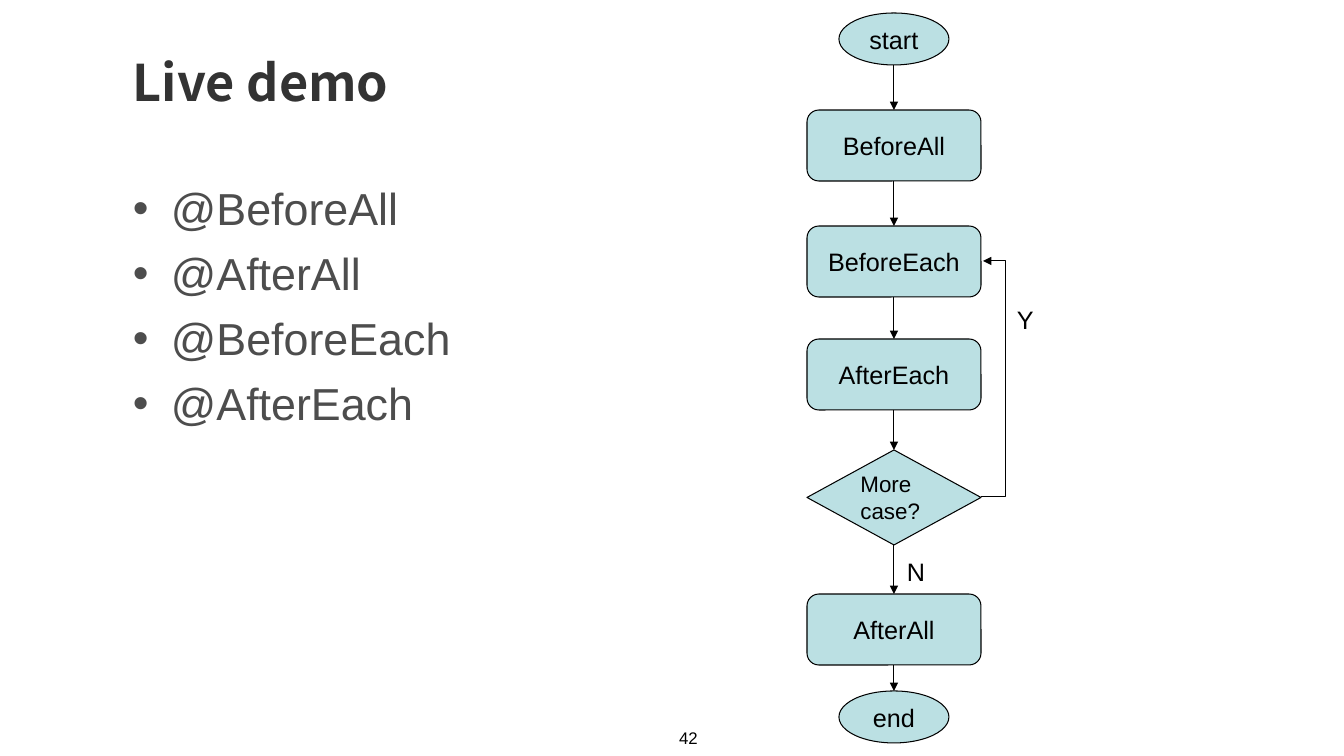
import pptx
import pptx.dml.color
import pptx.enum.shapes
import pptx.enum.text
import pptx.oxml
import pptx.oxml.ns
import pptx.util

SHAPES = pptx.enum.shapes.MSO_SHAPE
LINES = pptx.enum.shapes.MSO_CONNECTOR
ALIGN = pptx.enum.text.PP_ALIGN
ANCHOR = pptx.enum.text.MSO_ANCHOR
NS = pptx.oxml.ns.nsdecls("a")
TOP, BOTTOM = 0, 2


def px(length):
    return pptx.util.Emu(round(length * 914400 / 100.8))


def color(value):
    return pptx.dml.color.RGBColor.from_string(value)


def add_xml(parent, xml):
    parent.append(pptx.oxml.parse_xml(xml))


class FlowSlide:
    black = "000000"
    node_fill = "BBE0E3"

    def __init__(self, deck):
        self.slide = deck.slides.add_slide(deck.slide_layouts[6])

    def fill_text(self, frame, lines, size, hue, align, anchor, font="Arial", bold=False, before=0):
        frame.word_wrap = True
        frame.vertical_anchor = anchor
        font_format = {"name": font, "size": pptx.util.Pt(size), "bold": bold}
        for index, line in enumerate(lines):
            paragraph = frame.add_paragraph() if index else frame.paragraphs[0]
            paragraph.alignment = align
            paragraph.space_before = pptx.util.Pt(before)
            run = paragraph.add_run()
            run.text = line
            for key, value in font_format.items():
                setattr(run.font, key, value)
            run.font.color.rgb = color(hue)
            if font != "Arial":
                add_xml(run._r.get_or_add_rPr(), f'<a:ea {NS} typeface="{font}"/>')

    def text(self, box, lines, size=18, hue=black, align=ALIGN.LEFT, anchor=ANCHOR.TOP, **style):
        frame = self.slide.shapes.add_textbox(*map(px, box)).text_frame
        self.fill_text(frame, lines, size, hue, align, anchor, **style)
        return frame

    def bullets(self, box, lines, indent, **style):
        for paragraph in self.text(box, lines, **style).paragraphs:
            properties = paragraph._p.get_or_add_pPr()
            properties.set("marL", str(px(indent)))
            properties.set("indent", str(-px(indent)))
            add_xml(properties, f'<a:buFont {NS} typeface="Arial"/>')
            add_xml(properties, f'<a:buChar {NS} char="•"/>')

    def node(self, kind, center, top, width, height, label, size=18, align=ALIGN.CENTER):
        box = (center - width // 2, top, width, height)
        node = self.slide.shapes.add_shape(kind, *map(px, box))
        node.shadow.inherit = False
        node.fill.solid()
        node.fill.fore_color.rgb = color(self.node_fill)
        self.outline(node.line)
        self.fill_text(node.text_frame, [label], size, self.black, align, ANCHOR.MIDDLE)
        return node

    def outline(self, line):
        line.color.rgb = color(self.black)
        line.width = pptx.util.Pt(0.75)

    def arrow(self, kind, *ends):
        arrow = self.slide.shapes.add_connector(kind, *map(px, ends))
        self.outline(arrow.line)
        add_xml(arrow.line._get_or_add_ln(), f'<a:tailEnd {NS} type="triangle"/>')
        add_xml(arrow._element.spPr, f"<a:effectLst {NS}/>")
        return arrow

    def step(self, upper, lower):
        arrow = self.arrow(LINES.STRAIGHT, 0, 0, 0, 0)
        arrow.begin_connect(upper, BOTTOM)
        arrow.end_connect(lower, TOP)

    def loop(self, start, end, reach):
        arrow = self.arrow(LINES.ELBOW, *start, *end)
        bend = round(100000 * reach / (end[0] - start[0]))
        guides = arrow._element.spPr.find(pptx.oxml.ns.qn("a:prstGeom")).get_or_add_avLst()
        add_xml(guides, f'<a:gd {NS} name="adj1" fmla="val {bend}"/>')


def main():
    deck = pptx.Presentation()
    deck.slide_width, deck.slide_height = px(1344), px(756)
    page = FlowSlide(deck)

    # Heading, annotations and page number
    page.bullets((123, 176, 1187, 499), ["@BeforeAll", "@AfterAll", "@BeforeEach", "@AfterEach"],
                 indent=38, size=32, hue="4D4D4D", before=8)
    page.text((123, 45, 1153, 72), ["Live demo"], size=36, hue="333333", anchor=ANCHOR.MIDDLE,
              font="Noto Sans CJK SC", bold=True)
    page.text((649, 723, 79, 42), ["42"], size=12, align=ALIGN.CENTER)

    # Flowchart nodes from top to bottom
    center = 894
    terminal = (SHAPES.OVAL, 110, 52)
    process = (SHAPES.ROUNDED_RECTANGLE, 174, 71)
    decision = (SHAPES.DIAMOND, 174, 95)
    stages = [
        (terminal, 13, "start", {}),
        (process, 110, "BeforeAll", {}),
        (process, 226, "BeforeEach", {}),
        (process, 339, "AfterEach", {}),
        (decision, 450, "More case?", {"size": 16, "align": ALIGN.LEFT}),
        (process, 594, "AfterAll", {}),
        (terminal, 691, "end", {}),
    ]
    nodes = [page.node(kind, center, top, width, height, label, **style)
             for (kind, width, height), top, label, style in stages]

    # Arrows between neighbours, and the loop back to BeforeEach
    for upper, lower in zip(nodes, nodes[1:]):
        page.step(upper, lower)
    page.loop((981, 497), (983, 261), reach=25)

    # Branch labels
    for left, top, answer in [(897, 551, "N"), (1007, 299, "Y")]:
        page.text((left, top, 36, 40), [answer])

    deck.save("out.pptx")


if __name__ == "__main__":
    main()
